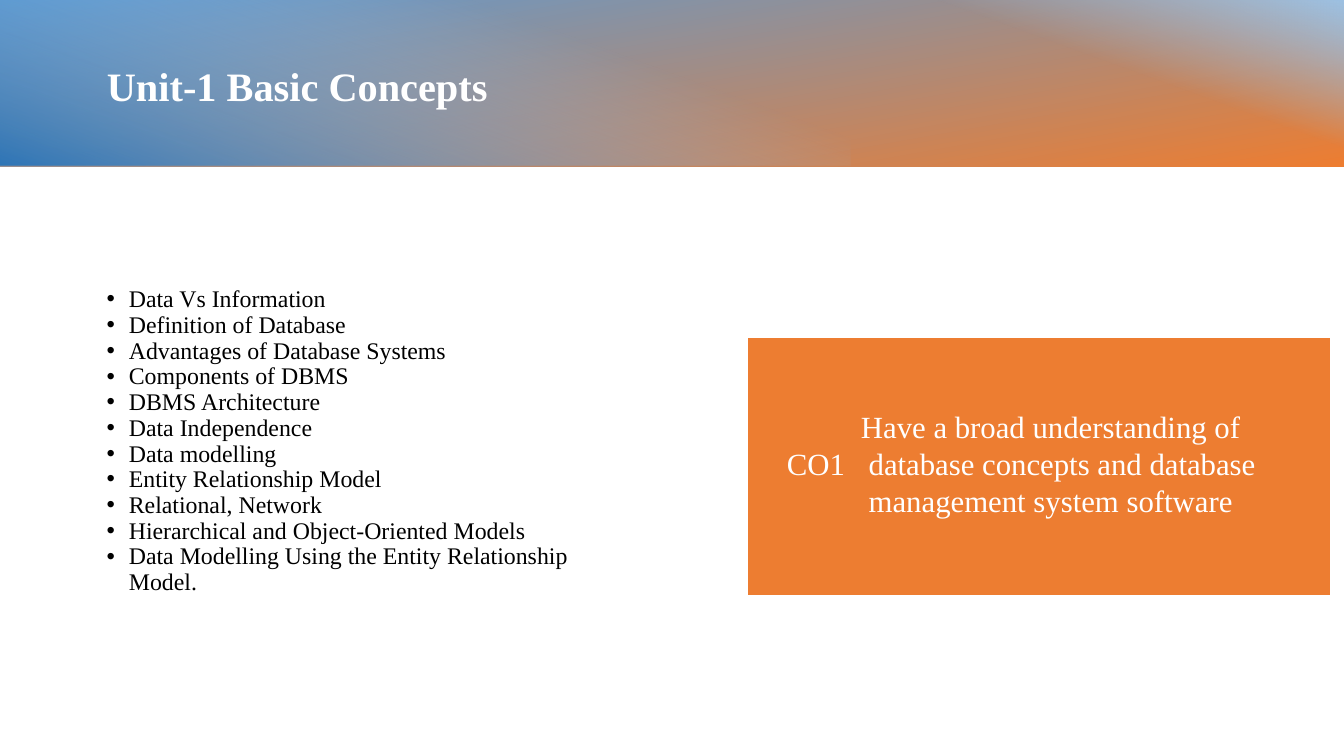
from lxml.etree import SubElement
from pptx import Presentation
from pptx.dml.color import RGBColor
from pptx.enum.shapes import MSO_SHAPE as Preset
from pptx.enum.text import MSO_ANCHOR as Anchor, MSO_AUTO_SIZE as AutoSize, PP_ALIGN as Align
from pptx.oxml.ns import qn
from pptx.util import Inches, Pt

FONT = "Times New Roman"
WHITE = RGBColor(0xFF, 0xFF, 0xFF)
BLACK = RGBColor(0x00, 0x00, 0x00)
BLUE = RGBColor(0x5B, 0x9B, 0xD5)
LIGHT_BLUE = RGBColor(0x9D, 0xC3, 0xE6)
DARK_BLUE = RGBColor(0x2E, 0x75, 0xB6)
ORANGE = RGBColor(0xED, 0x7D, 0x31)
PLAIN_TABLE = "{2D5ABB26-0587-4C30-8999-92F81FD0307C}"

TOPICS = [
    "Data Vs Information",
    "Definition of Database",
    "Advantages of Database Systems",
    "Components of DBMS",
    "DBMS Architecture",
    "Data Independence",
    "Data modelling",
    "Entity Relationship Model",
    "Relational, Network",
    "Hierarchical and Object-Oriented Models",
    "Data Modelling Using the Entity Relationship Model.",
]
OUTCOME = [
    "Have a broad understanding of",
    " database concepts and database",
    " management system software",
]


def write(frame, lines, size, color, bold=False, align=Align.LEFT, spacing=0.9,
          gap=0, indent=0, bullet=None):
    """Fill a text frame with one formatted paragraph per line."""
    frame.word_wrap = True
    for index, line in enumerate(lines):
        para = frame.paragraphs[0] if index == 0 else frame.add_paragraph()
        para.alignment = align
        para.line_spacing = spacing
        para.space_before = Pt(gap if index else 0)
        para.space_after = Pt(0)
        props = para._p.get_or_add_pPr()
        props.set("marL", str(Inches(indent)))
        props.set("indent", str(Inches(-indent if bullet else 0)))
        if bullet:
            SubElement(props, qn("a:buFont")).set("typeface", "Arial")
            SubElement(props, qn("a:buChar")).set("char", bullet)
        span = para.add_run()
        span.text = line
        span.font.name = FONT
        span.font.size = Pt(size)
        span.font.bold = bold
        span.font.color.rgb = color


def add_gradient(group, left, top, width, height, rotation, angle, stops, fade=False):
    """Add a rotated rectangle with a two-stop gradient, clear at the start if fading."""
    shape = group.shapes.add_shape(
        Preset.RECTANGLE, Inches(left), Inches(top), Inches(width), Inches(height))
    shape.rotation = rotation
    shape.shadow.inherit = False
    shape.line.fill.background()
    shape.fill.gradient()
    shape.fill.gradient_angle = 360 - angle
    for stop, (position, color) in zip(shape.fill.gradient_stops, stops):
        stop.position = position
        stop.color.rgb = color
    if fade:
        first_color = next(shape._element.spPr.iter(qn("a:srgbClr")))
        SubElement(first_color, qn("a:alpha")).set("val", "0")


def add_banner(page):
    """Layer the three gradients of the header band."""
    group = page.shapes.add_group_shape()
    add_gradient(group, 5.84, -5.84, 1.65, 13.33, 270, 170, [(0, BLUE), (1, ORANGE)])
    add_gradient(group, 9.75, -1.97, 1.65, 5.54, 270, 20,
                 [(0.59, LIGHT_BLUE), (1, LIGHT_BLUE)], fade=True)
    add_gradient(group, 3.39, -3.4, 1.65, 8.44, 90, 20,
                 [(0.29, LIGHT_BLUE), (1, DARK_BLUE)], fade=True)
    page.shapes._spTree.remove(group._element)
    page.shapes._spTree.insert(2, group._element)


def add_title(page, text):
    """Place and format the title placeholder."""
    title = page.shapes.title
    title.left, title.top = Inches(0.96), Inches(0.33)
    title.width, title.height = Inches(11.46), Inches(1.1)
    frame = title.text_frame
    frame.auto_size = AutoSize.NONE
    frame.vertical_anchor = Anchor.MIDDLE
    write(frame, [text], 28.8, WHITE, bold=True)


def add_topics(page):
    """Add the bulleted list of topics."""
    box = page.shapes.add_textbox(Inches(0.96), Inches(2.8), Inches(5.5), Inches(3.74))
    write(box.text_frame, TOPICS, 17, BLACK, indent=0.22, bullet="•")


def add_outcome(page):
    """Add the one-row table with the course outcome."""
    table = page.shapes.add_table(
        1, 2, Inches(7.42), Inches(3.35), Inches(5.77), Inches(2.55)).table
    table.first_row = table.horz_banding = False
    next(table._tbl.iter(qn("a:tableStyleId"))).text = PLAIN_TABLE
    for column, width in zip(table.columns, (1.04, 4.73)):
        column.width = Inches(width)
    code, outcome = table.rows[0].cells
    for cell in (code, outcome):
        cell.fill.solid()
        cell.fill.fore_color.rgb = ORANGE
        cell.vertical_anchor = Anchor.MIDDLE
        cell.margin_left = cell.margin_right = Inches(0.02)
        cell.margin_top, cell.margin_bottom = Inches(0.13), Inches(0)
    code.margin_right = Inches(0.08)
    write(code.text_frame, ["CO1"], 22, WHITE, align=Align.RIGHT, spacing=Pt(13.2))
    write(outcome.text_frame, OUTCOME, 22, WHITE, spacing=Pt(13.3), gap=13.3, indent=0.06)


def main():
    """Build the slide and save it."""
    deck = Presentation()
    deck.slide_width, deck.slide_height = Inches(13.33), Inches(7.5)
    page = deck.slides.add_slide(deck.slide_layouts[5])
    add_banner(page)
    add_title(page, "Unit-1 Basic Concepts")
    add_topics(page)
    add_outcome(page)
    deck.save("out.pptx")


if __name__ == "__main__":
    main()
